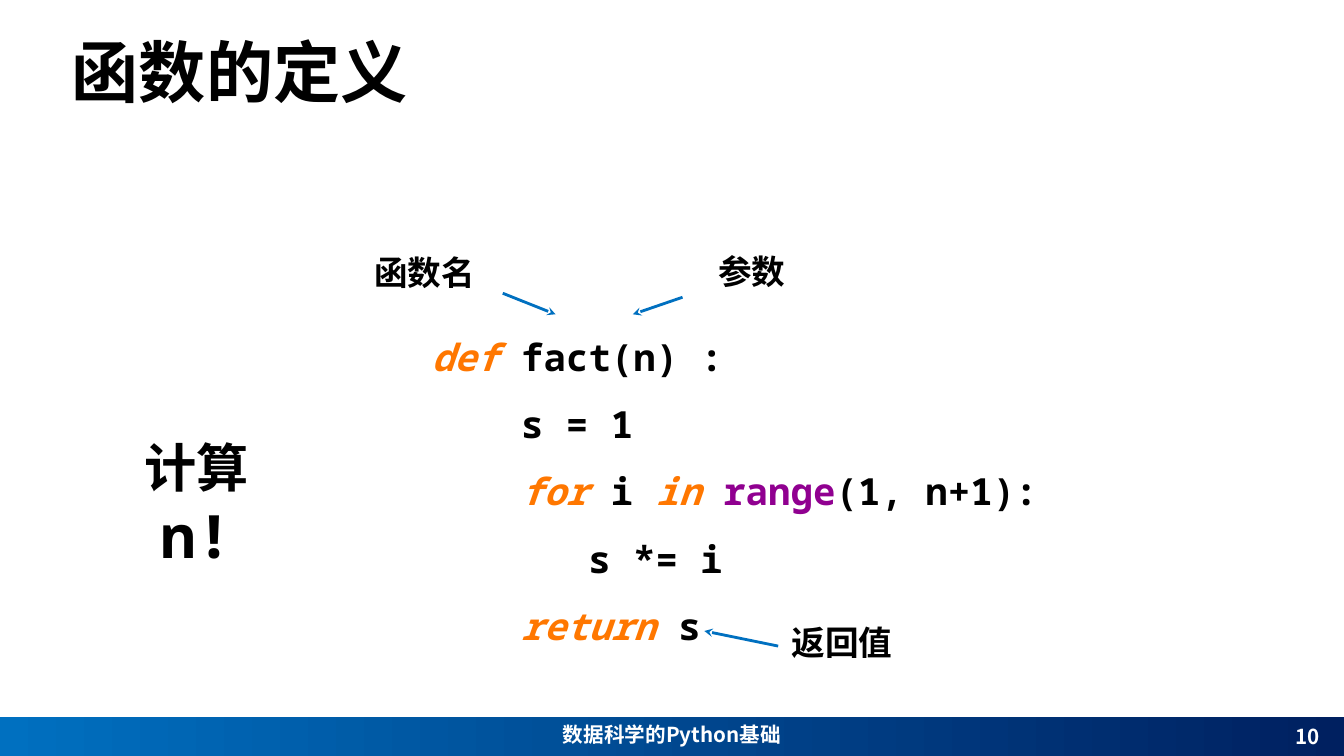
from dataclasses import dataclass

import pptx
import pptx.dml.color
import pptx.enum.shapes
import pptx.enum.text
import pptx.oxml
import pptx.oxml.ns
import pptx.util

Cm = pptx.util.Cm
Pt = pptx.util.Pt
ALIGN = pptx.enum.text.PP_ALIGN
ANCHOR = pptx.enum.text.MSO_ANCHOR

SANS, MONO = "Noto Sans CJK SC", "Noto Sans Mono"
BLACK, WHITE, BLUE, NAVY = "000000", "FFFFFF", "0070C0", "002060"
KEYWORD, BUILTIN = "FF7700", "900090"
WIDTH, HEIGHT = 33.87, 19.05
BAR_TOP, BAR_HEIGHT = 18.06, 0.99
CODE_SIZE = 26.7
CODE_CHAR = 0.6 * CODE_SIZE  # advance of one monospaced character, in points


@dataclass
class Box:
    left: float
    top: float
    width: float
    height: float
    inset: tuple[float, float] = (0.25, 0.13)
    anchor: ANCHOR = ANCHOR.TOP
    wrap: bool = True


@dataclass
class Callout:
    text: str
    center: float
    top: float
    start: tuple[float, float]
    end: tuple[float, float]


@dataclass
class CodeLine:
    indent: int
    tokens: list[tuple[str, str]]


CALLOUTS = [
    Callout("函数名", 10.7, 6.22, (12.67, 7.39), (14.0, 7.92)),
    Callout("参数", 18.95, 6.2, (17.2, 7.49), (15.95, 7.92)),
    Callout("返回值", 21.22, 15.54, (19.61, 16.28), (17.75, 15.9)),
]

CODE = [
    CodeLine(0, [("def ", KEYWORD), ("fact(n) :", BLACK)]),
    CodeLine(4, [("s = 1", BLACK)]),
    CodeLine(4, [("for ", KEYWORD), ("i ", BLACK), ("in ", KEYWORD),
                 ("range", BUILTIN), ("(1, n+1):", BLACK)]),
    CodeLine(7, [("s *= i", BLACK)]),
    CodeLine(4, [("return ", KEYWORD), ("s", BLACK)]),
]


def rgb(color: str) -> pptx.dml.color.RGBColor:
    return pptx.dml.color.RGBColor.from_string(color)


def set_font(font, name: str, size: float) -> None:
    """Set the typeface for Latin and East Asian text, and its size."""
    font.size = Pt(size)
    font.name = name
    east_asian = pptx.oxml.parse_xml(
        f'<a:ea {pptx.oxml.ns.nsdecls("a")} typeface="{name}"/>')
    font._element.find(pptx.oxml.ns.qn("a:latin")).addnext(east_asian)


def add_frame(slide, box: Box):
    frame = slide.shapes.add_textbox(
        Cm(box.left), Cm(box.top), Cm(box.width), Cm(box.height)).text_frame
    frame.word_wrap = box.wrap
    frame.vertical_anchor = box.anchor
    frame.margin_left = frame.margin_right = Cm(box.inset[0])
    frame.margin_top = frame.margin_bottom = Cm(box.inset[1])
    return frame


def add_label(slide, box: Box, text: str, size: float,
              color: str = BLACK, align: ALIGN = ALIGN.CENTER) -> None:
    paragraph = add_frame(slide, box).paragraphs[0]
    paragraph.add_run().text = text
    paragraph.alignment = align
    paragraph.font.bold = True
    paragraph.font.color.rgb = rgb(color)
    set_font(paragraph.font, SANS, size)


def add_arrow(slide, start: tuple[float, float], end: tuple[float, float]) -> None:
    arrow = slide.shapes.add_connector(
        pptx.enum.shapes.MSO_CONNECTOR.STRAIGHT, *map(Cm, start + end))
    arrow.line.color.rgb = rgb(BLUE)
    arrow.line.width = Pt(2)
    ns = pptx.oxml.ns.nsdecls("a")
    arrow.line._get_or_add_ln().append(
        pptx.oxml.parse_xml(f'<a:tailEnd {ns} type="stealth"/>'))
    arrow._element.spPr.append(pptx.oxml.parse_xml(f"<a:effectLst {ns}/>"))


def add_footer(slide) -> None:
    bar = slide.shapes.add_shape(
        pptx.enum.shapes.MSO_SHAPE.RECTANGLE,
        Cm(0), Cm(BAR_TOP), Cm(WIDTH), Cm(BAR_HEIGHT))
    bar.shadow.inherit = False
    bar.line.fill.background()
    bar.fill.gradient()
    bar.fill.gradient_angle = 0
    for stop, position, color in zip(bar.fill.gradient_stops, (0, 1), (BLUE, NAVY)):
        stop.position = position
        stop.color.rgb = rgb(color)
    add_label(slide, Box(25.96, BAR_TOP, 7.62, BAR_HEIGHT, (0.33, 0.18), ANCHOR.MIDDLE),
              "10", 14.7, WHITE, ALIGN.RIGHT)
    add_label(slide, Box(0, BAR_TOP, WIDTH, 0.89), "数据科学的Python基础", 14.7, WHITE)


def add_code(slide) -> None:
    frame = add_frame(slide, Box(10.54, 7.67, 16.5, 8.53, (0.33, 0.18)))
    for number, line in enumerate(CODE):
        paragraph = frame.add_paragraph() if number else frame.paragraphs[0]
        paragraph.line_spacing = 1.5
        properties = paragraph._p.get_or_add_pPr()
        properties.set("marL", str(int(Pt(line.indent * CODE_CHAR))))
        properties.set("indent", "0")
        paragraph.font.bold = True
        set_font(paragraph.font, MONO, CODE_SIZE)
        for text, color in line.tokens:
            run = paragraph.add_run()
            run.text = text
            run.font.color.rgb = rgb(color)
            run.font.italic = color == KEYWORD


def add_task(slide) -> None:
    paragraph = add_frame(slide, Box(3.3, 10.85, 3.3, 2.08)).paragraphs[0]
    paragraph.alignment = ALIGN.CENTER
    paragraph.font.bold = True
    paragraph.font.color.rgb = rgb(BLACK)
    for text, name, size in (("计算 ", SANS, 37.3), ("n!", MONO, 42.7)):
        run = paragraph.add_run()
        run.text = text
        set_font(run.font, name, size)


def main() -> None:
    deck = pptx.Presentation()
    deck.slide_width, deck.slide_height = Cm(WIDTH), Cm(HEIGHT)
    slide = deck.slides.add_slide(deck.slide_layouts[6])

    # Footer and title
    add_footer(slide)
    add_label(slide, Box(1.73, 0.13, 32.13, 2.74, (0.08, 0.08), ANCHOR.BOTTOM),
              "函数的定义", 48, align=ALIGN.LEFT)

    # Task and its function
    add_code(slide)
    add_task(slide)

    # Names of the function's elements, each with an arrow
    for callout in CALLOUTS:
        width = 0.85 * len(callout.text) + 0.5
        add_label(slide, Box(callout.center - width / 2, callout.top, width, 1.27, wrap=False),
                  callout.text, 24)
        add_arrow(slide, callout.start, callout.end)

    deck.save("out.pptx")


if __name__ == "__main__":
    main()
